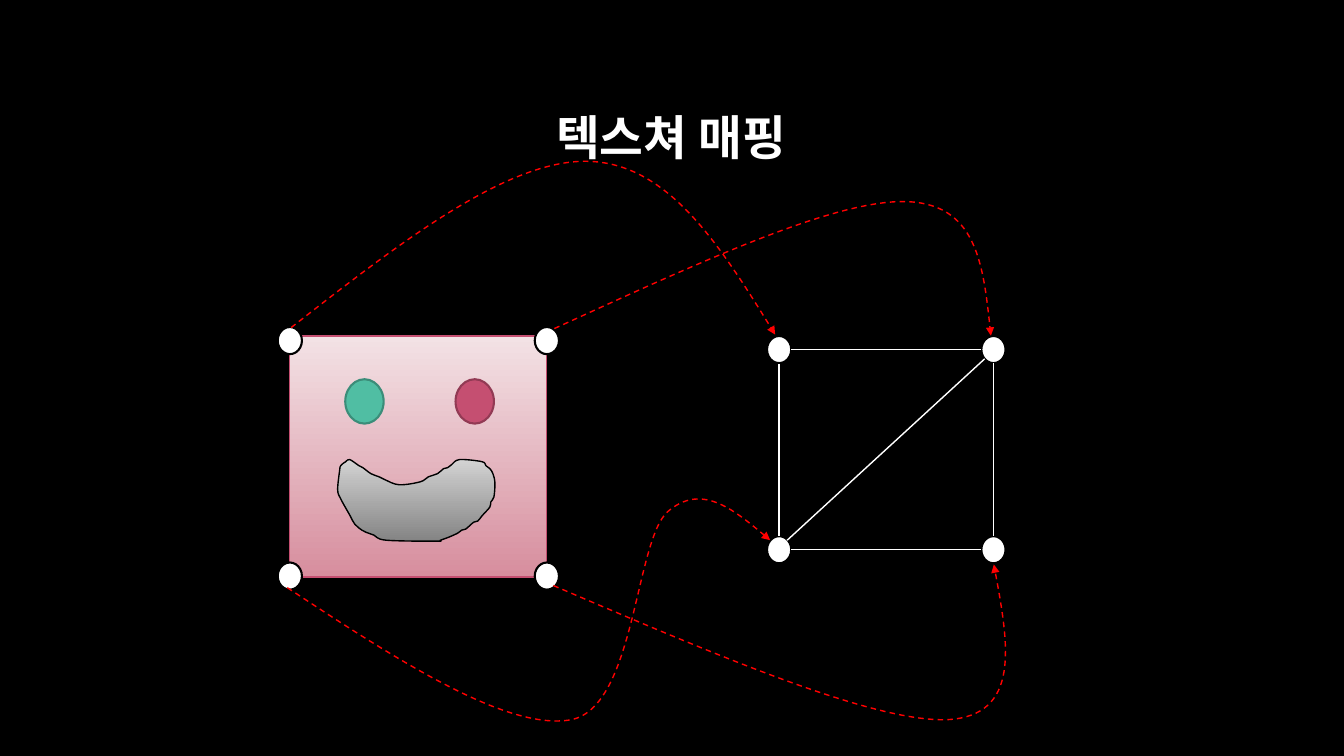
from itertools import product

from lxml.etree import SubElement
from pptx import Presentation
from pptx.dml.color import RGBColor
from pptx.enum.dml import MSO_LINE
from pptx.enum.shapes import MSO_CONNECTOR, MSO_SHAPE
from pptx.enum.text import MSO_ANCHOR, PP_ALIGN
from pptx.oxml.ns import qn
from pptx.util import Pt

COLORS = {
    "black": "000000", "white": "FFFFFF", "red": "FF0000",
    "face_top": "F3E2E5", "face_bottom": "D78E9E", "rose": "C54F71", "rose_dark": "923A54",
    "green": "50BEA3", "green_dark": "3B8D79",
    "mouth_top": "D3D3D3", "mouth_bottom": "848484",
}
FONT_NAME = "Roboto Slab"
TITLE_FONT = {"name": FONT_NAME, "size": Pt(34), "bold": True}
TITLE_BOX = {"left": Pt(72), "top": Pt(48), "width": Pt(815), "height": Pt(104.4)}
TITLE_FRAME = {"word_wrap": True, "vertical_anchor": MSO_ANCHOR.MIDDLE}
TITLE_PARAGRAPH = {"alignment": PP_ALIGN.CENTER, "line_spacing": 0.9}

EYE_SIZE = (27.4, 31.7)
DOT_SIZE = (17.3, 19.4)
MESH_CORNERS = ((547.9, 701), (240, 383))
FACE_CORNERS = ((198.4, 382), (233.6, 401.8))

MOUTH = [
    (249.8, 367.9), (243.4, 356.4), (241.2, 349.9), (242.6, 336.2), (243.4, 332.6),
    (247, 329.8), (249.8, 328.3), (256.3, 332.6), (259.2, 334.1),
    (265, 338.4), (270.7, 340.6), (275, 342.7), (285.1, 346.3), (300.2, 344.2),
    (306, 340.6), (312.5, 338.4), (316.8, 334.8), (319.7, 334.1), (322.6, 331.9),
    (328.3, 328.3), (344.2, 329.8), (347, 332.6), (349.9, 334.8),
    (352.1, 338.4), (353.5, 344.9), (352.8, 355), (350.6, 358.6), (349.9, 362.2),
    (344.2, 368.6), (341.3, 372.2), (338.4, 373), (332.6, 378), (329.8, 378.7),
    (326.9, 380.9), (320.4, 383.8), (314.6, 385.9), (311.8, 386.6), (275.8, 385.9),
    (267.1, 382.3), (261.4, 380.2), (258.5, 378.7), (253.4, 374.4),
]
MESH_EDGES = [
    (556.5, 259.9, 556.5, 383),
    (565.2, 249.7, 701, 249.7),
    (709.5, 259.2, 709.5, 383),
    (565.2, 392.5, 701, 392.5),
    (562.3, 385.9, 703.4, 256.3),
]
# Bezier chains: a start, then two control points and an end per segment
MAPPINGS = [
    [(208, 234), (284.4, 174.2), (361.4, 114.5), (419, 115.2),
     (476.6, 115.9), (515.5, 177.1), (553.7, 239)],
    [(396, 234.7), (495.4, 189.4), (594, 143.3), (645.8, 144),
     (697.7, 144.7), (702.7, 192.2), (707.8, 239.8)],
    [(205.2, 419.8), (283.7, 471.6), (362.9, 522.7), (408.2, 514.1),
     (453.6, 504.7), (453.6, 387.4), (476.6, 365.8),
     (500.4, 344.9), (525.6, 365), (550.1, 385.9)],
    [(395.3, 418.3), (509.8, 467.3), (624.2, 516.2), (676.8, 514.1),
     (729.4, 511.2), (720, 457.2), (709.9, 403.2)],
]


def color(name):
    return RGBColor.from_string(COLORS[name])


def set_attributes(target, values):
    for name, value in values.items():
        setattr(target, name, value)


def style_line(line, name, width):
    line.color.rgb = color(name)
    line.width = Pt(width)


def fill_solid(shape, name):
    shape.fill.solid()
    shape.fill.fore_color.rgb = color(name)


def fill_gradient(shape, top, bottom):
    shape.fill.gradient()
    shape.fill.gradient_angle = 270
    for stop, name, position in zip(shape.fill.gradient_stops, (top, bottom), (0, 1)):
        stop.color.rgb = color(name)
        stop.position = position


def add_preset(shapes, kind, left, top, size, line, width):
    shape = shapes.add_shape(kind, Pt(left), Pt(top), *map(Pt, size))
    shape.shadow.inherit = False
    style_line(shape.line, line, width)
    return shape


def smooth_loop(anchors):
    """Bezier chain through all anchors, with tangents along their neighbours."""
    chain = [anchors[0]]
    count = len(anchors)
    for index in range(count):
        before, start, end, after = (anchors[(index + k) % count] for k in (-1, 0, 1, 2))
        chain.append(tuple(s + (e - b) / 6 for b, s, e in zip(before, start, end)))
        chain.append(tuple(e - (a - s) / 6 for s, e, a in zip(start, end, after)))
        chain.append(end)
    return chain


def trace_curve(chain, steps=24):
    for first in range(0, len(chain) - 1, 3):
        segment = chain[first:first + 4]
        for step in range(1, steps + 1):
            t = step / steps
            weights = ((1 - t) ** 3, 3 * t * (1 - t) ** 2, 3 * t * t * (1 - t), t ** 3)
            yield tuple(Pt(sum(w * p[axis] for w, p in zip(weights, segment)))
                        for axis in (0, 1))


def add_curve(shapes, chain, close):
    # The traced points give the exact bounds; Bezier segments then take their place
    builder = shapes.build_freeform(*map(Pt, chain[0]))
    builder.add_line_segments(trace_curve(chain), close=close)
    shape = builder.convert_to_shape()
    shape.shadow.inherit = False
    outline = next(shape._element.iter(qn("a:path")))
    for child in list(outline)[1:]:
        outline.remove(child)
    for first in range(1, len(chain), 3):
        segment = SubElement(outline, qn("a:cubicBezTo"))
        for x, y in chain[first:first + 3]:
            SubElement(segment, qn("a:pt"), x=str(Pt(x) - shape.left), y=str(Pt(y) - shape.top))
    if close:
        SubElement(outline, qn("a:close"))
    return shape


def add_title(page):
    title = page.shapes.title
    set_attributes(title, TITLE_BOX)
    set_attributes(title.text_frame, TITLE_FRAME)
    para = title.text_frame.paragraphs[0]
    set_attributes(para, TITLE_PARAGRAPH)
    span = para.add_run()
    span.text = "텍스쳐 매핑"
    set_attributes(span.font, TITLE_FONT)
    span.font.color.rgb = color("white")
    SubElement(span.font._element, qn("a:ea"), typeface=FONT_NAME)


def add_face(page):
    shapes = page.shapes.add_group_shape().shapes
    face = add_preset(shapes, MSO_SHAPE.RECTANGLE, 206.6, 240, (183.6, 172.1), "rose", 1)
    fill_gradient(face, "face_top", "face_bottom")
    for left, fill, line in ((246.6, "green", "green_dark"), (325.4, "rose", "rose_dark")):
        eye = add_preset(shapes, MSO_SHAPE.OVAL, left, 270.9, EYE_SIZE, line, 1.5)
        fill_solid(eye, fill)
    mouth = add_curve(shapes, smooth_loop(MOUTH), close=True)
    fill_gradient(mouth, "mouth_top", "mouth_bottom")
    style_line(mouth.line, "black", 1)


def add_corner_dots(page, corners):
    lefts, tops = corners
    for top, left in product(tops, lefts):
        dot = add_preset(page.shapes, MSO_SHAPE.OVAL, left, top, DOT_SIZE, "black", 1.5)
        fill_solid(dot, "white")


def add_edge(page, ends):
    edge = page.shapes.add_connector(MSO_CONNECTOR.STRAIGHT, *map(Pt, ends))
    style_line(edge.line, "white", 1)
    SubElement(edge._element.spPr, qn("a:effectLst"))


def add_mapping_arrow(page, chain):
    arrow = add_curve(page.shapes, chain, close=False)
    arrow.fill.background()
    style_line(arrow.line, "red", 1)
    arrow.line.dash_style = MSO_LINE.DASH
    SubElement(arrow.line._get_or_add_ln(), qn("a:tailEnd"), type="triangle")


def main():
    deck = Presentation()
    deck.slide_width, deck.slide_height = Pt(960), Pt(540)
    page = deck.slides.add_slide(deck.slide_layouts[5])
    fill_solid(page.background, "black")
    add_title(page)

    # Texture, mesh and their corners
    add_face(page)
    add_corner_dots(page, MESH_CORNERS)
    for ends in MESH_EDGES:
        add_edge(page, ends)
    add_corner_dots(page, FACE_CORNERS)

    # Arrows from texture corners to mesh corners
    for chain in MAPPINGS:
        add_mapping_arrow(page, chain)
    deck.save("out.pptx")


if __name__ == "__main__":
    main()
